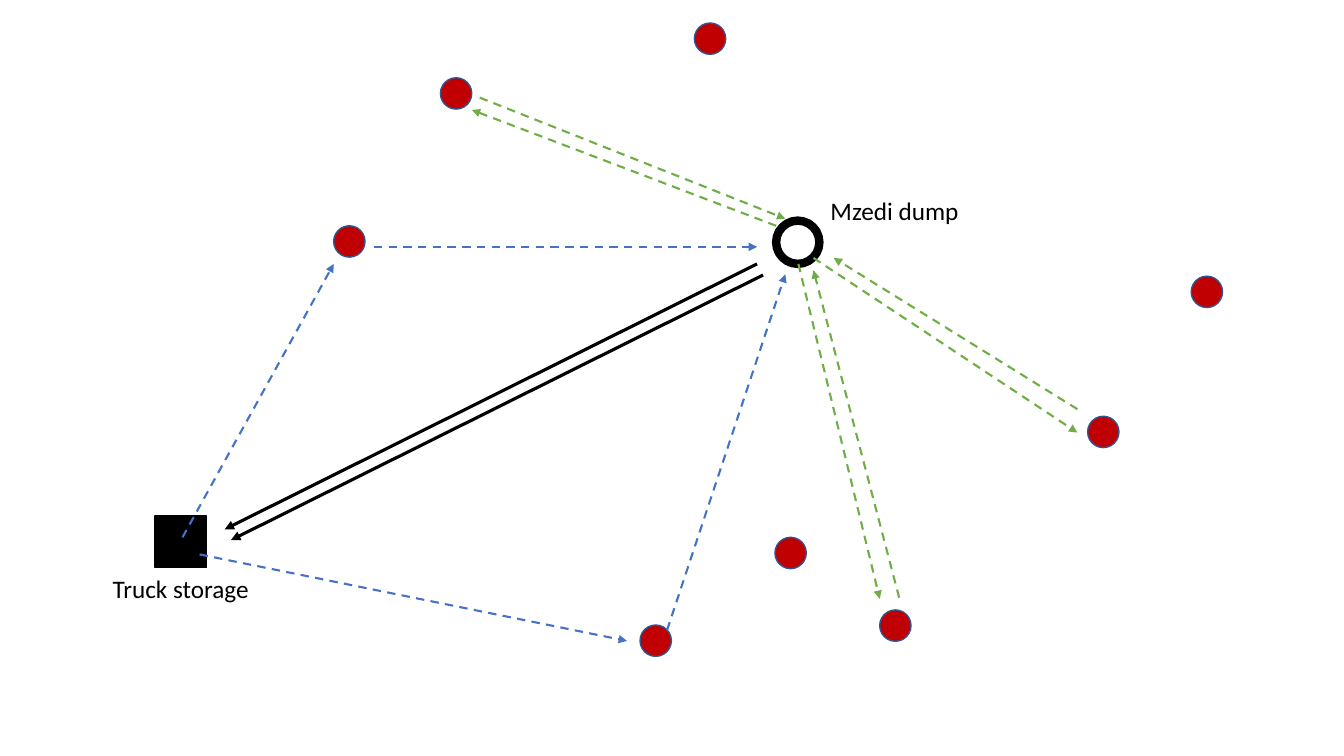
from lxml import etree
from pptx import Presentation
from pptx import util as u
from pptx.dml.color import RGBColor
from pptx.enum import dml, shapes, text
from pptx.oxml.ns import qn

COLORS = {
    "black": "000000",
    "white": "FFFFFF",
    "site": "C00000",
    "site_line": "325491",
    "collect": "4472C4",
    "shuttle": "70AD47",
}
DASH = dml.MSO_LINE.DASH
ROUTES = {
    "collect": {"width": u.Pt(1.5), "dash_style": DASH},
    "shuttle": {"width": u.Pt(1.5), "dash_style": DASH},
    "black": {"width": u.Pt(2.25)},
}
LABEL = {"size": u.Pt(18), "name": "Calibri"}
FRAME = {"word_wrap": False, "auto_size": text.MSO_AUTO_SIZE.SHAPE_TO_FIT_TEXT}
SITE_SIZE = 0.79
SITES = [
    (8.41, 5.69), (11.1, 1.96), (16.13, 15.75), (22.17, 15.37),
    (27.41, 10.49), (17.5, 0.58), (19.53, 13.54), (30.02, 6.96),
]
TRIPS = {
    "collect": [
        (4.6, 13.54, 8.41, 6.65), (9.42, 6.22, 19.08, 6.22),
        (5.03, 13.97, 15.8, 16.15), (16.81, 15.88, 19.79, 6.91),
    ],
    "shuttle": [
        (19.56, 5.69, 11.89, 2.77), (12.09, 2.46, 19.79, 5.51),
        (20.5, 6.5, 27.15, 10.9), (27.15, 10.31, 21.01, 6.5),
        (20.12, 6.65, 22.17, 15.09), (22.66, 15.06, 20.5, 6.81),
    ],
    "black": [(19.08, 6.65, 5.66, 13.34), (19.23, 6.93, 5.82, 13.61)],
}


def rgb(name):
    return RGBColor.from_string(COLORS[name])


def apply(target, values):
    for key, value in values.items():
        setattr(target, key, value)


def add_marker(s, kind, box, fill, line, width):
    sp = s.shapes.add_shape(kind, *map(u.Cm, box))
    sp.shadow.inherit = False
    sp.fill.solid()
    sp.fill.fore_color.rgb = rgb(fill)
    sp.line.color.rgb = rgb(line)
    sp.line.width = u.Pt(width)


def add_label(s, box, words):
    tf = s.shapes.add_textbox(*map(u.Cm, box)).text_frame
    apply(tf, FRAME)
    r = tf.paragraphs[0].add_run()
    r.text = words
    apply(r.font, LABEL)
    r.font.color.rgb = rgb("black")


def add_dump(s, box):
    x, y, w, h = box
    add_marker(s, shapes.MSO_SHAPE.OVAL, box, "white", "black", 6)
    add_label(s, (x + w + 0.03, y - 0.76, 3.78, 1.02), "Mzedi dump")


def add_storage(s, box):
    x, y, w, h = box
    add_marker(s, shapes.MSO_SHAPE.RECTANGLE, box, "black", "black", 1)
    add_label(s, (x - 1.32, y + h + 0.03, 3.99, 1.02), "Truck storage")


def add_sites(s, box):
    left, top = box[:2]
    for x, y in SITES:
        place = (left + x, top + y, SITE_SIZE, SITE_SIZE)
        add_marker(s, shapes.MSO_SHAPE.OVAL, place, "site", "site_line", 1)


def add_trip(s, ends, kind):
    c = s.shapes.add_connector(shapes.MSO_CONNECTOR.STRAIGHT, *map(u.Cm, ends))
    c.line.color.rgb = rgb(kind)
    apply(c.line, ROUTES[kind])
    ln = c.line._get_or_add_ln()
    etree.SubElement(ln, qn("a:tailEnd")).set("type", "triangle")
    etree.SubElement(c._element.spPr, qn("a:effectLst"))


def add_routes(s, box):
    left, top = box[:2]
    for kind, trips in TRIPS.items():
        for x1, y1, x2, y2 in trips:
            add_trip(s, (left + x1, top + y1, left + x2, top + y2), kind)


def main():
    prs = Presentation()
    prs.slide_width, prs.slide_height = u.Cm(33.87), u.Cm(19.05)
    s = prs.slides.add_slide(prs.slide_layouts[6])
    area = (0, 0, 33.87, 19.05)
    add_dump(s, (19.56, 5.56, 1.09, 1.09))
    add_storage(s, (3.91, 13, 1.3, 1.3))
    add_sites(s, area)
    add_routes(s, area)
    prs.save("out.pptx")


if __name__ == "__main__":
    main()
